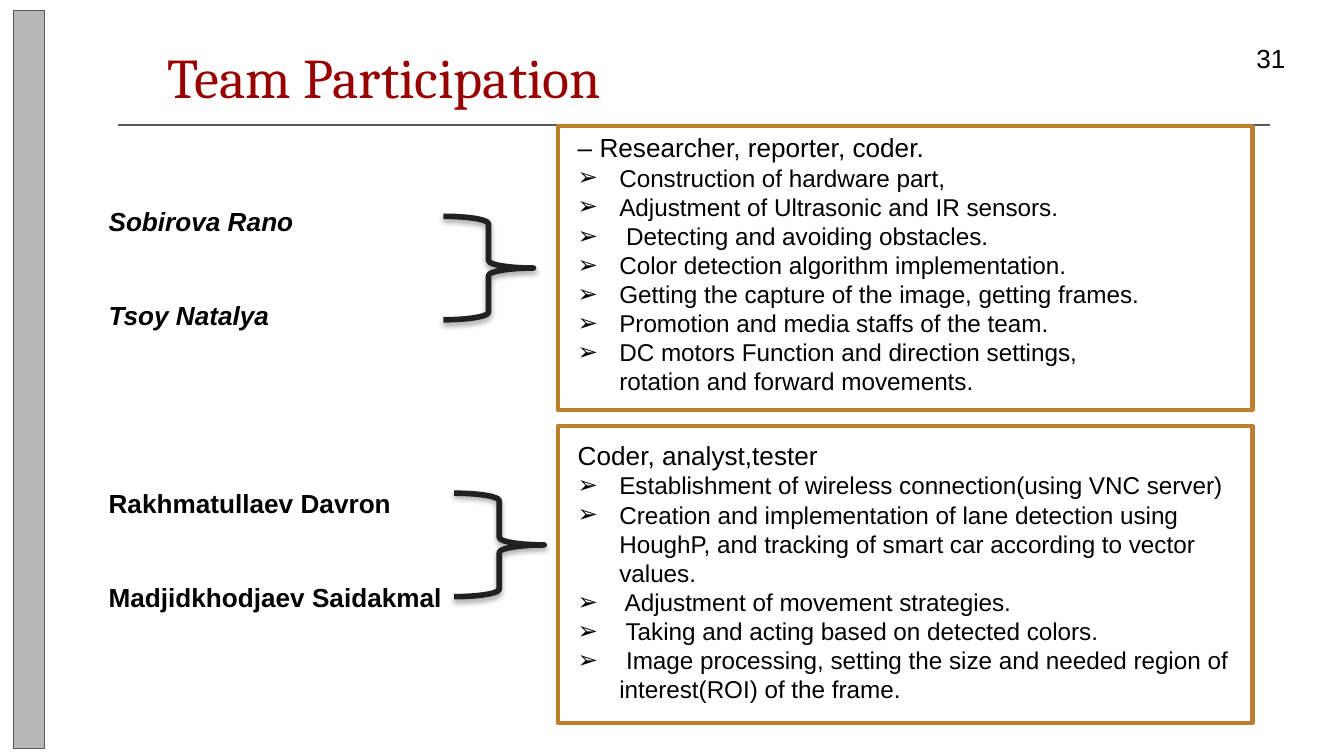
from lxml.etree import SubElement
from pptx import Presentation
from pptx.dml.color import RGBColor
from pptx.enum.shapes import MSO_CONNECTOR, MSO_SHAPE
from pptx.enum.text import MSO_ANCHOR
from pptx.oxml import parse_xml
from pptx.oxml.ns import nsdecls, qn
from pptx.util import Inches, Pt

BLACK = RGBColor(0x00, 0x00, 0x00)
INK = RGBColor(0x21, 0x21, 0x21)
RED = RGBColor(0x98, 0x00, 0x00)
GOLD = RGBColor(0xBD, 0x7F, 0x2F)
GREY = RGBColor(0xB7, 0xB7, 0xB7)
DARK_GREY = RGBColor(0x59, 0x59, 0x59)

CELL = Inches(0.1)  # the slide is a grid of 100 columns by 56.25 rows
COLS, ROWS = 100, 56.25
LEADING = 1.2
HANG = Inches(0.31)

# Each team: frame top and rows, text top, names top, brace column and row
TEAMS = [
    dict(
        frame=(9.4, 21.1), text_top=9.3, names_top=14.8, brace=(33, 16.1),
        names=["Sobirova Rano", "Tsoy Natalya"], italic=True,
        role="– Researcher, reporter, coder.",
        tasks=[
            "Construction of hardware part,",
            "Adjustment of Ultrasonic and IR sensors.",
            " Detecting and avoiding obstacles.",
            "Color detection algorithm implementation.",
            "Getting the capture of the image, getting frames.",
            "Promotion and media staffs of the team.",
            "DC motors Function and direction settings,",
        ],
        tail="rotation and forward movements.",
    ),
    dict(
        frame=(31.7, 22.1), text_top=32.2, names_top=35.8, brace=(33.8, 36.7),
        names=["Rakhmatullaev Davron", "Madjidkhodjaev Saidakmal"], italic=False,
        role="Coder, analyst,tester",
        tasks=[
            "Establishment of wireless connection(using VNC server)",
            "Creation and implementation of lane detection using HoughP, "
            "and tracking of smart car according to vector values.",
            " Adjustment of movement strategies.",
            " Taking and acting based on detected colors.",
            " Image processing, setting the size and needed region of "
            "interest(ROI) of the frame.",
        ],
        tail=None,
    ),
]


def cells(*values):
    return [round(v * CELL) for v in values]


def add_text_box(slide, box, inset=None):
    tf = slide.shapes.add_textbox(*cells(*box)).text_frame
    tf.word_wrap = True
    if inset:
        tf.margin_left = tf.margin_right = inset
        tf.margin_top = tf.margin_bottom = inset
    return tf


def write(p, text, size, font="Arial", color=BLACK, bold=False, italic=False):
    p.text = text
    f = p.runs[0].font
    f.name, f.size, f.bold, f.italic = font, Pt(size), bold, italic
    f.color.rgb = color


def add_line(tf, text, size, **style):
    """Write into the first empty paragraph, or append one."""
    p = tf.paragraphs[0] if not tf.text else tf.add_paragraph()
    write(p, text, size, **style)
    p.line_spacing = Pt(size * LEADING)
    return p


def indent(p, bullet=None):
    pPr = p._p.get_or_add_pPr()
    pPr.set("marL", str(HANG))
    pPr.set("indent", str(-HANG if bullet else 0))
    if bullet:
        SubElement(pPr, qn("a:buFont")).set("typeface", "Arial")
        SubElement(pPr, qn("a:buChar")).set("char", bullet)


def add_outline(slide, kind, box, color, width, fill=None):
    sp = slide.shapes.add_shape(kind, *cells(*box))
    sp.shadow.inherit = False
    if fill is None:
        sp.fill.background()
    else:
        sp.fill.solid()
        sp.fill.fore_color.rgb = fill
    sp.line.color.rgb = color
    sp.line.width = Pt(width)
    return sp


def add_soft_shadow(sp):
    effects = sp._element.spPr.find(qn("a:effectLst"))
    effects.append(parse_xml(
        f'<a:outerShdw {nsdecls("a")} blurRad="{Pt(3.1)}" dist="{Pt(1.8)}" '
        'dir="5400000" rotWithShape="0"><a:srgbClr val="000000">'
        '<a:alpha val="35000"/></a:srgbClr></a:outerShdw>'))


def add_header(slide, left, top, width):
    """Title and page number above a rule."""
    inset = Inches(0.1)
    title = add_text_box(slide, (left + 2.7, top, 62.6, 10.8), inset)
    write(title.paragraphs[0], "Team Participation", 30, font="Cambria", color=RED)
    number = add_text_box(slide, (left + 83.7, top, 6, 4.3), inset)
    number.vertical_anchor = MSO_ANCHOR.MIDDLE
    write(number.paragraphs[0], "31", 14)
    y = top + 7.1
    rule = slide.shapes.add_connector(
        MSO_CONNECTOR.STRAIGHT, *cells(left, y, left + width, y))
    rule.line.color.rgb = DARK_GREY
    rule.line.width = Pt(0.75)
    SubElement(rule._element.spPr, qn("a:effectLst"))


def add_names(slide, box, names, italic):
    tf = add_text_box(slide, box)
    for i, name in enumerate(names):
        p = add_line(tf, name, 14, bold=True, italic=italic)
        p.space_before = Pt(2 * 14 * LEADING if i else 0)


def add_role(slide, box, role, tasks, tail):
    tf = add_text_box(slide, box)
    add_line(tf, role, 14)
    for task in tasks:
        indent(add_line(tf, task, 13), "➢")
    if tail:
        indent(add_line(tf, tail, 13))


def add_team(slide, left, width, team):
    """Names on the left, a brace, and the framed role on the right."""
    top, height = team["frame"]
    frame_left = left + 34.4
    frame_width = width - 34.4
    add_names(slide, (left, team["names_top"], 29, 10.3),
              team["names"], team["italic"])
    brace = add_outline(slide, MSO_SHAPE.RIGHT_BRACE,
                        (*team["brace"], 6.7, 7.7), INK, 3)
    add_soft_shadow(brace)
    add_role(slide, (frame_left + 0.5, team["text_top"], 52.5, height - 1),
             team["role"], team["tasks"], team["tail"])
    add_outline(slide, MSO_SHAPE.RECTANGLE,
                (frame_left, top, frame_width, height), GOLD, 2.25)


def main():
    prs = Presentation()
    prs.slide_width, prs.slide_height = cells(COLS, ROWS)
    slide = prs.slides.add_slide(prs.slide_layouts[6])
    add_outline(slide, MSO_SHAPE.RECTANGLE, (1, 0.8, 2.3, 54.9),
                DARK_GREY, 0.75, fill=GREY)
    add_header(slide, 8.8, 2.2, 85.7)
    for team in TEAMS:
        add_team(slide, 7.1, 86.1, team)
    prs.save("out.pptx")


if __name__ == "__main__":
    main()
